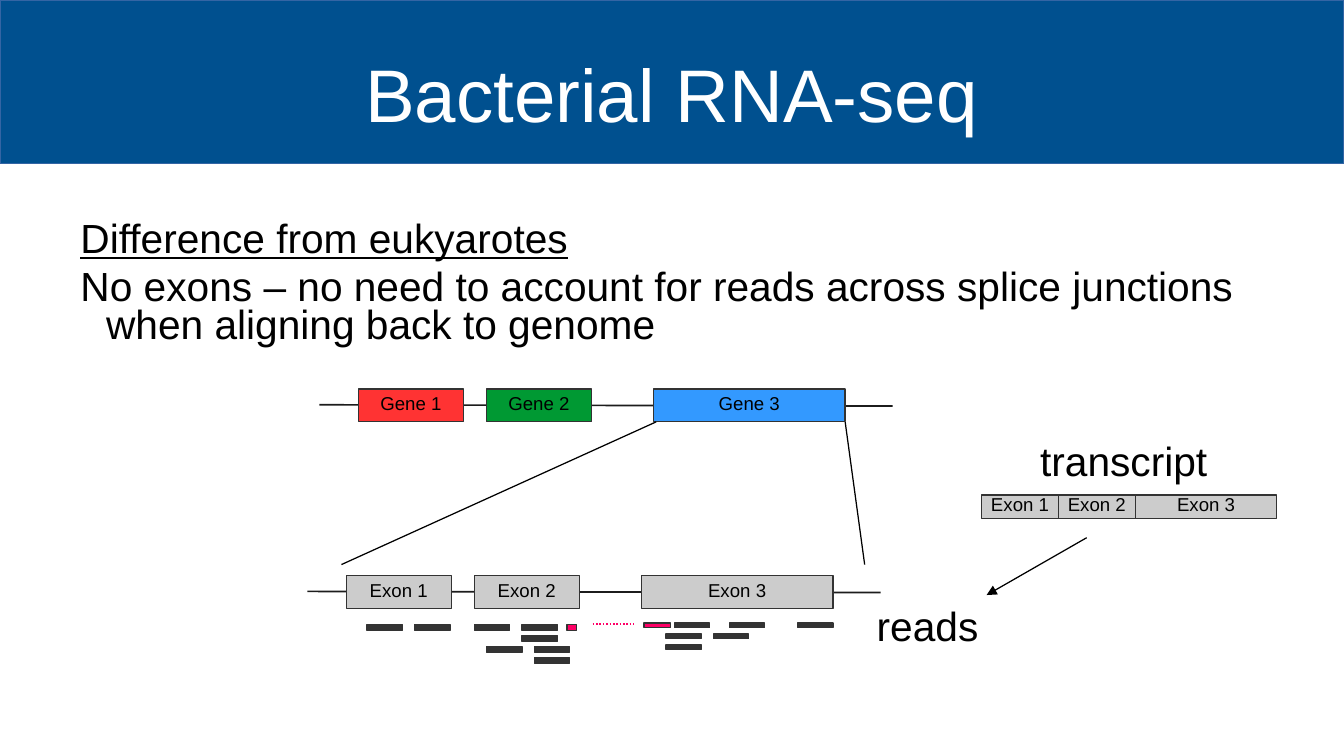
from lxml.etree import SubElement
from pptx import Presentation
from pptx.dml.color import RGBColor
from pptx.enum.dml import MSO_LINE
from pptx.enum.shapes import MSO_CONNECTOR, MSO_SHAPE
from pptx.enum.text import MSO_ANCHOR, MSO_AUTO_SIZE, PP_ALIGN
from pptx.oxml.ns import qn
from pptx.util import Inches, Pt

BLACK, WHITE, DARK, GREY, PINK = "000000", "FFFFFF", "333333", "CCCCCC", "FF0066"


def colour(value):
    return RGBColor.from_string(value)


class SlideBuilder:
    font = "Arial"
    line_spacing = 0.78

    def __init__(self, page):
        self.page = page

    def format_text(self, frame, size, text_colour=BLACK, align=PP_ALIGN.LEFT):
        for para in frame.paragraphs:
            para.alignment = align
            para.line_spacing = self.line_spacing
            for span in para.runs:
                span.font.name = self.font
                span.font.size = Pt(size)
                span.font.color.rgb = colour(text_colour)

    def set_margins(self, frame, side, top, bottom):
        frame.margin_left = frame.margin_right = Inches(side)
        frame.margin_top, frame.margin_bottom = Inches(top), Inches(bottom)

    def title(self, text, left, top, width, height):
        box = self.page.shapes.title
        box.left, box.top = Inches(left), Inches(top)
        box.width, box.height = Inches(width), Inches(height)
        frame = box.text_frame
        frame.text = text
        frame.auto_size = MSO_AUTO_SIZE.NONE
        frame.vertical_anchor = MSO_ANCHOR.MIDDLE
        self.set_margins(frame, 0, 0.13, 0)
        self.format_text(frame, 44, WHITE, PP_ALIGN.CENTER)
        return box

    def text(self, text, left, top, width, height):
        box = self.page.shapes.add_textbox(
            Inches(left), Inches(top), Inches(width), Inches(height))
        frame = box.text_frame
        frame.word_wrap = True
        frame.text = text
        self.format_text(frame, 24)
        return frame

    def block(self, left, top, width, height, fill, line=DARK, label="",
              kind=MSO_SHAPE.RECTANGLE):
        box = self.page.shapes.add_shape(
            kind, Inches(left), Inches(top), Inches(width), Inches(height))
        box.shadow.inherit = False
        box.fill.solid()
        box.fill.fore_color.rgb = colour(fill)
        box.line.color.rgb = colour(line)
        box.line.width = Pt(0.75)
        if label:
            frame = box.text_frame
            frame.text = label
            frame.word_wrap = False
            frame.vertical_anchor = MSO_ANCHOR.MIDDLE
            self.format_text(frame, 11, align=PP_ALIGN.CENTER)
        return box

    def line(self, start, end, line_colour=BLACK, width=0.75, dash=None, arrow=False):
        connector = self.page.shapes.add_connector(
            MSO_CONNECTOR.STRAIGHT, *map(Inches, start + end))
        connector.line.color.rgb = colour(line_colour)
        connector.line.width = Pt(width)
        if dash:
            connector.line.dash_style = dash
        properties = connector.element.spPr
        if arrow:
            SubElement(properties.find(qn("a:ln")), qn("a:tailEnd"), type="triangle")
        SubElement(properties, qn("a:effectLst"))

    def track(self, left, middle, name, fills):
        self.line((left, middle), (left + 4.7, middle + 0.01), "1C1C1C", 1)
        places = [(0.32, 0.86), (1.37, 0.86), (2.74, 1.57)]
        for number, ((offset, width), fill) in enumerate(zip(places, fills), 1):
            self.block(left + offset, middle - 0.13, width, 0.27, fill,
                       label=f"{name} {number}")


def main():
    deck = Presentation()
    deck.slide_width, deck.slide_height = Inches(11.02), Inches(6.2)
    page = deck.slides.add_slide(deck.slide_layouts[5])
    builder = SlideBuilder(page)

    # Header band behind the title
    title = builder.title("Bacterial RNA-seq", 0.55, 0.25, 9.92, 1.03)
    band = builder.block(0, 0, 11.02, 1.34, "00508F", "3465A4",
                         kind=MSO_SHAPE.FLOWCHART_PROCESS)
    title.element.addprevious(band.element)

    # Body text with hanging indents
    body = builder.text(
        "Difference from eukyarotes\n"
        "No exons – no need to account for reads across splice junctions "
        "when aligning back to genome", 0.63, 1.73, 9.76, 1.2)
    builder.set_margins(body, 0, 0.1, 0)
    for para in body.paragraphs:
        properties = para._p.get_or_add_pPr()
        properties.set("marL", str(Inches(0.24)))
        properties.set("indent", str(Inches(-0.21)))
        para.space_after = Pt(2.9)
    body.paragraphs[0].runs[0].font.underline = True
    body.paragraphs[1].space_before = Pt(2.9)

    # Genes, and the exons inside gene 3
    builder.track(2.62, 3.32, "Gene", ["FF3333", "009933", "3399FF"])
    builder.track(2.52, 4.85, "Exon", [GREY] * 3)
    builder.line((5.38, 3.46), (2.8, 4.63))
    builder.line((6.93, 3.46), (7.09, 4.63))

    # Reads stacked in rows under the exons
    left_reads = [[3.01, 3.4, 3.89, 4.28], [4.28], [3.99, 4.38], [4.38]]
    right_reads = [[5.53, 5.98, 6.54], [5.46, 5.85], [5.46]]
    for first_top, height, rows in [(5.12, 0.05, left_reads), (5.11, 0.04, right_reads)]:
        for row, lefts in enumerate(rows):
            for left in lefts:
                builder.block(left, first_top + 0.09 * row, 0.29, height, DARK)

    # Read split across a splice junction
    builder.block(5.28, 5.11, 0.22, 0.04, PINK)
    builder.block(4.65, 5.12, 0.08, 0.05, PINK)
    builder.line((4.86, 5.12), (5.2, 5.12), PINK, 1, MSO_LINE.ROUND_DOT)

    # Spliced transcript
    left = 8.05
    for number, width in enumerate([0.63, 0.63, 1.16], 1):
        builder.block(left, 4.06, width, 0.19, GREY, label=f"Exon {number}")
        left += width
    builder.text("transcript", 8.43, 3.61, 1.89, 0.41)
    builder.text("reads", 7.09, 4.96, 1.18, 0.41)
    builder.line((8.91, 4.41), (8.09, 4.88), arrow=True)

    deck.save("out.pptx")


if __name__ == "__main__":
    main()
